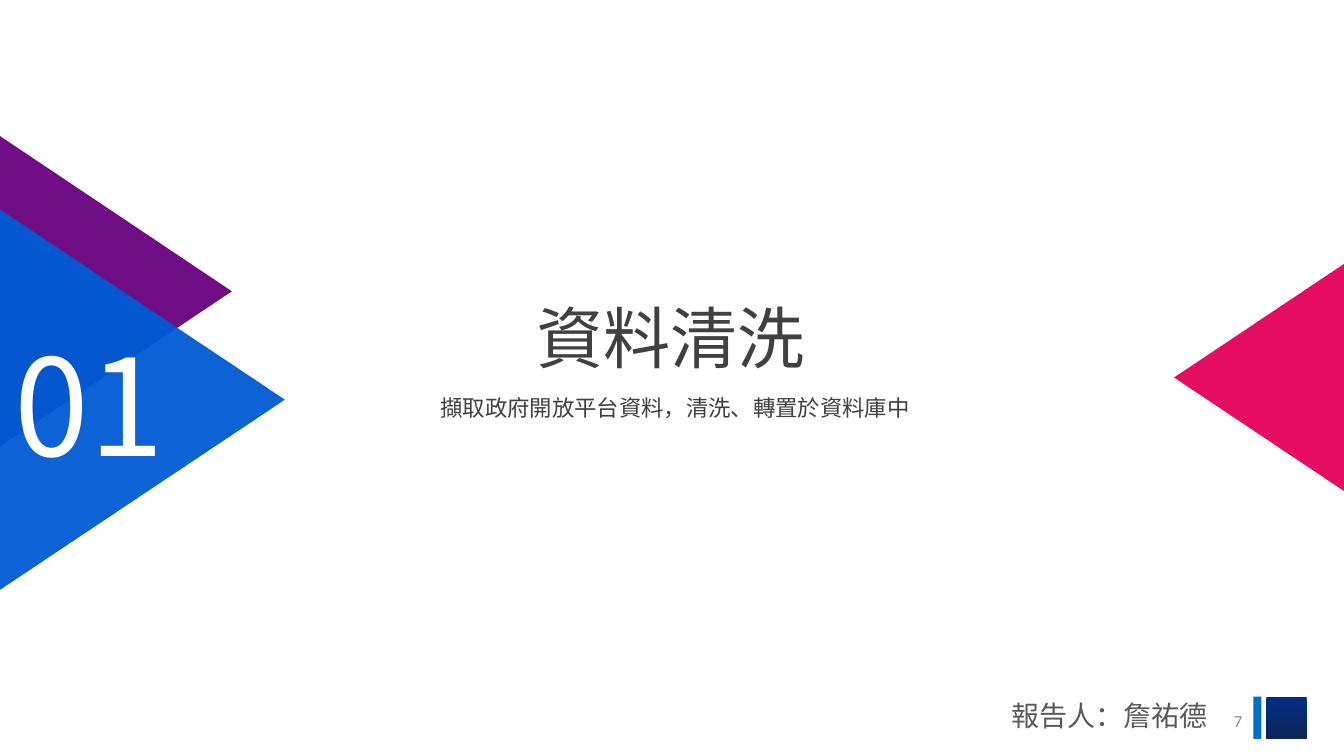
from dataclasses import dataclass

from lxml import etree
from pptx import Presentation
from pptx.dml.color import RGBColor
from pptx.enum.shapes import MSO_SHAPE as Preset
from pptx.enum.text import MSO_ANCHOR as Anchor, PP_ALIGN as Align
from pptx.oxml.ns import qn
from pptx.util import Inches, Pt


@dataclass(frozen=True)
class Theme:
    cjk_font: str = "Noto Sans CJK SC"
    number_font: str = "Calibri"
    purple: str = "68007F"
    blue: str = "005BD3"
    pink: str = "E40059"
    white: str = "FFFFFF"
    ink: str = "404040"
    footer_ink: str = "595959"
    number_ink: str = "8C8C8C"
    bar: str = "0070C0"
    navy_top: str = "012D86"
    navy_bottom: str = "0E2557"
    section_size: int = 96
    title_size: int = 48
    footer_size: int = 20
    body_size: int = 16
    number_size: int = 12


THEME = Theme()


def add_preset(slide, preset, left, top, width, height):
    shape = slide.shapes.add_shape(
        preset, Inches(left), Inches(top), Inches(width), Inches(height))
    shape.shadow.inherit = False
    shape.line.fill.background()
    return shape


def add_solid(slide, preset, box, color):
    shape = add_preset(slide, preset, *box)
    shape.fill.solid()
    shape.fill.fore_color.rgb = RGBColor.from_string(color)
    return shape


def add_triangle(slide, box, color, rotation):
    """Add a slightly transparent triangle; box is its unrotated frame."""
    triangle = add_solid(slide, Preset.ISOSCELES_TRIANGLE, box, color)
    triangle.rotation = rotation
    fill_color = triangle.fill._xPr.find(qn("a:solidFill"))[0]
    etree.SubElement(fill_color, qn("a:alpha"), val="95000")


def add_text(slide, text, box, *, size, color, font=THEME.cjk_font,
             align=Align.LEFT, anchor=Anchor.TOP, wrap=True,
             line_spacing=None, inset=None):
    shape = slide.shapes.add_textbox(*(Inches(length) for length in box))
    frame = shape.text_frame
    frame.word_wrap = wrap
    frame.vertical_anchor = anchor
    if inset is not None:
        frame.margin_left = frame.margin_right = Inches(inset)
        frame.margin_top = frame.margin_bottom = Inches(inset)
    paragraph = frame.paragraphs[0]
    paragraph.alignment = align
    paragraph.line_spacing = line_spacing
    run = paragraph.add_run()
    run.text = text
    run.font.size = Pt(size)
    run.font.color.rgb = RGBColor.from_string(color)
    run.font.name = font
    # East Asian glyphs take their own typeface setting
    etree.SubElement(run.font._element, qn("a:ea"), typeface=font)


def add_footer_mark(slide):
    block = add_preset(slide, Preset.RECTANGLE, 12.56, 6.91, 0.4, 0.42)
    block.fill.gradient()
    block.fill.gradient_angle = 270
    for stop, color in zip(block.fill.gradient_stops,
                           (THEME.navy_top, THEME.navy_bottom)):
        stop.color.rgb = RGBColor.from_string(color)
    add_solid(slide, Preset.RECTANGLE, (12.43, 6.91, 0.08, 0.42), THEME.bar)


def main():
    presentation = Presentation()
    presentation.slide_width = Inches(13.33)
    presentation.slide_height = Inches(7.5)
    slide = presentation.slides.add_slide(presentation.slide_layouts[6])

    # Triangles pointing in from both edges
    add_triangle(slide, (-0.39, 1.74, 3.08, 2.3), THEME.purple, 90)
    add_triangle(slide, (11.36, 2.9, 2.26, 1.69), THEME.pink, 270)
    add_triangle(slide, (-0.48, 2.55, 3.78, 2.83), THEME.blue, 90)

    # Section number, title and summary
    add_text(slide, "01", (0.05, 3.15, 1.76, 1.72), wrap=False,
             size=THEME.section_size, color=THEME.white)
    add_text(slide, "資料清洗", (5.22, 2.89, 2.89, 0.91), wrap=False,
             size=THEME.title_size, color=THEME.ink)
    add_text(slide, "擷取政府開放平台資料，清洗、轉置於資料庫中",
             (4.37, 3.86, 4.81, 0.3), size=THEME.body_size, color=THEME.ink,
             align=Align.JUSTIFY, line_spacing=1.2, inset=0)

    # Footer
    add_footer_mark(slide)
    add_text(slide, "報告人：詹祐德", (9.93, 6.79, 3.26, 0.61),
             size=THEME.footer_size, color=THEME.footer_ink,
             anchor=Anchor.MIDDLE)
    add_text(slide, "7", (9.42, 6.95, 3, 0.4), size=THEME.number_size,
             color=THEME.number_ink, font=THEME.number_font,
             align=Align.RIGHT, anchor=Anchor.MIDDLE)

    presentation.save("out.pptx")


if __name__ == "__main__":
    main()
